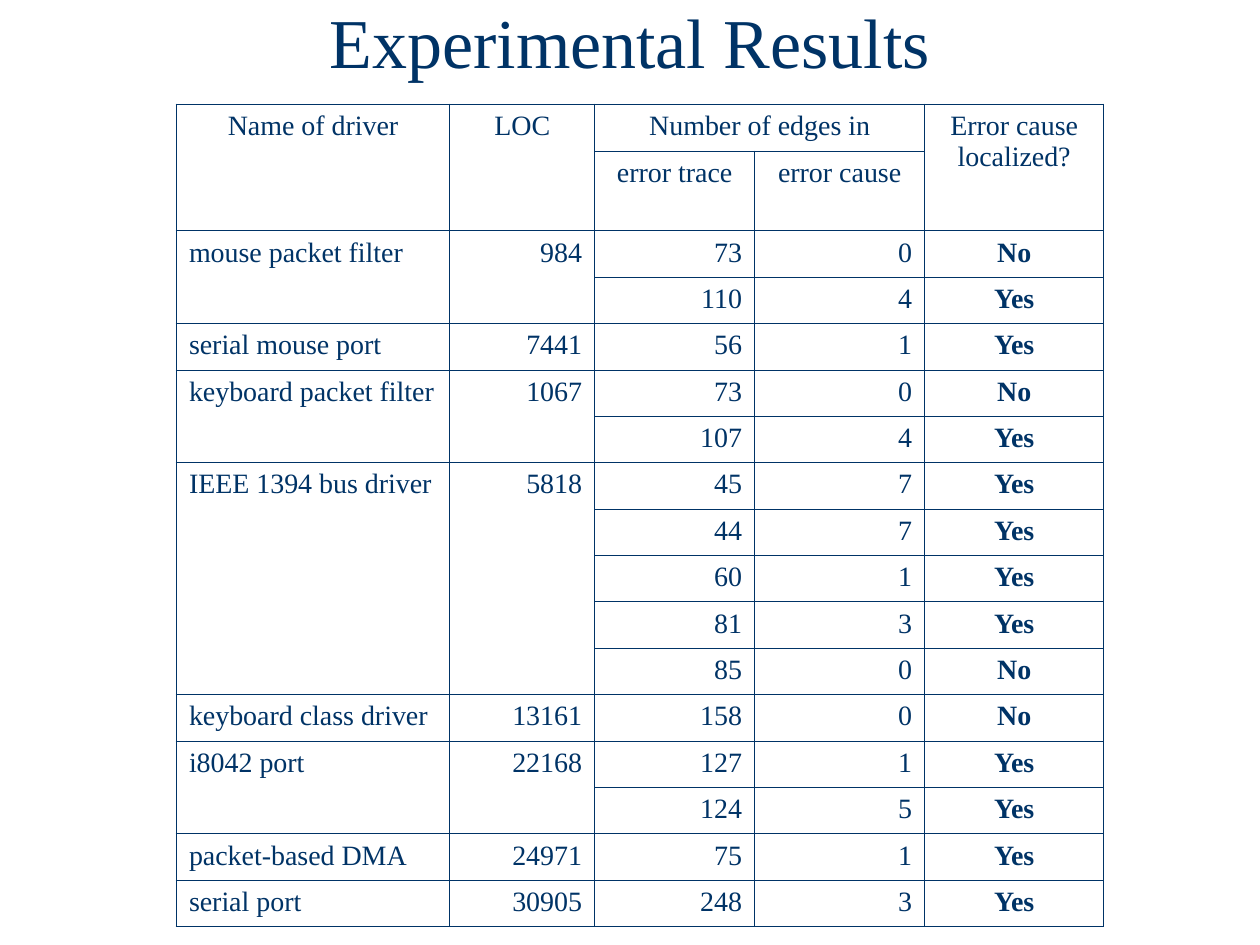
from lxml.etree import SubElement
from pptx import Presentation
from pptx.dml.color import RGBColor
from pptx.enum.text import MSO_ANCHOR, PP_ALIGN
from pptx.oxml.ns import qn
from pptx.util import Inches, Pt

HUES = {"navy": "003366", "white": "FFFFFF"}
FONT = "Times New Roman"
LEFT, MID, RIGHT = PP_ALIGN.LEFT, PP_ALIGN.CENTER, PP_ALIGN.RIGHT

# Driver, lines of code, then (edges in trace, edges in cause, localized?)
DRIVERS = [
    ("mouse packet filter", 984, [(73, 0, "No"), (110, 4, "Yes")]),
    ("serial mouse port", 7441, [(56, 1, "Yes")]),
    ("keyboard packet filter", 1067, [(73, 0, "No"), (107, 4, "Yes")]),
    ("IEEE 1394 bus driver", 5818, [(45, 7, "Yes"), (44, 7, "Yes"), (60, 1, "Yes"),
                                    (81, 3, "Yes"), (85, 0, "No")]),
    ("keyboard class driver", 13161, [(158, 0, "No")]),
    ("i8042 port", 22168, [(127, 1, "Yes"), (124, 5, "Yes")]),
    ("packet-based DMA", 24971, [(75, 1, "Yes")]),
    ("serial port", 30905, [(248, 3, "Yes")]),
]
WIDTHS = [2.17, 1.15, 1.27, 1.35, 1.42]
ROWS = 2 + sum(len(runs) for _, _, runs in DRIVERS)
COLS = len(WIDTHS)
TALL, HEIGHT = 0.63, 6.52


def write(frame, text, size, align, bold=False):
    para = frame.paragraphs[0]
    para.alignment = align
    run = para.add_run()
    run.text = str(text)
    run.font.name = FONT
    run.font.size = Pt(size)
    run.font.bold = bold
    run.font.color.rgb = RGBColor.from_string(HUES["navy"])
    return para


def put(row, col, text, align, down=1, across=1, bold=False):
    cell = grid.cell(row, col)
    if down * across > 1:
        cell.merge(grid.cell(row + down - 1, col + across - 1))
    write(cell.text_frame, text, 16, align, bold).space_before = Pt(4)


deck = Presentation()
deck.slide_width, deck.slide_height = Inches(10), Inches(7.5)
slide = deck.slides.add_slide(deck.slide_layouts[6])
slide.background.fill.solid()
slide.background.fill.fore_color.rgb = RGBColor.from_string(HUES["white"])

# Title
title = slide.shapes.add_textbox(Inches(0.5), 0, Inches(9), Inches(0.75)).text_frame
title.word_wrap = True
title.vertical_anchor = MSO_ANCHOR.MIDDLE
write(title, "Experimental Results", 40, MID).line_spacing = 0.85

# Table grid: equal rows, except the taller second header row
grid = slide.shapes.add_table(ROWS, COLS, Inches(1.4), Inches(0.83),
                              Inches(sum(WIDTHS)), Inches(HEIGHT)).table
grid.first_row = grid.horz_banding = False
for col, width in zip(grid.columns, WIDTHS):
    col.width = Inches(width)
for row in grid.rows:
    row.height = Inches((HEIGHT - TALL) / (ROWS - 1))
grid.rows[1].height = Inches(TALL)

# Thin inner borders, thicker outer frame, no fill
for r in range(ROWS):
    for c in range(COLS):
        cell = grid.cell(r, c)
        props = cell._tc.get_or_add_tcPr()
        edges = {"a:lnL": c == 0, "a:lnR": c == COLS - 1,
                 "a:lnT": r == 0, "a:lnB": r == ROWS - 1}
        for tag, outer in edges.items():
            line = SubElement(props, qn(tag), w=str(Pt(1.08 if outer else 0.45)))
            fill = SubElement(line, qn("a:solidFill"))
            SubElement(fill, qn("a:srgbClr"), val=HUES["navy"])
        cell.fill.background()

# Header
put(0, 0, "Name of driver", MID, down=2)
put(0, 1, "LOC", MID, down=2)
put(0, 2, "Number of edges in", MID, across=2)
put(0, 4, "Error cause localized?", MID, down=2)
put(1, 2, "error trace", MID)
put(1, 3, "error cause", MID)

# Drivers, each spanning its error traces
top = 2
for name, loc, runs in DRIVERS:
    put(top, 0, name, LEFT, down=len(runs))
    put(top, 1, loc, RIGHT, down=len(runs))
    for r, (trace, cause, found) in enumerate(runs, top):
        put(r, 2, trace, RIGHT)
        put(r, 3, cause, RIGHT)
        put(r, 4, found, MID, bold=True)
    top += len(runs)

deck.save("out.pptx")
